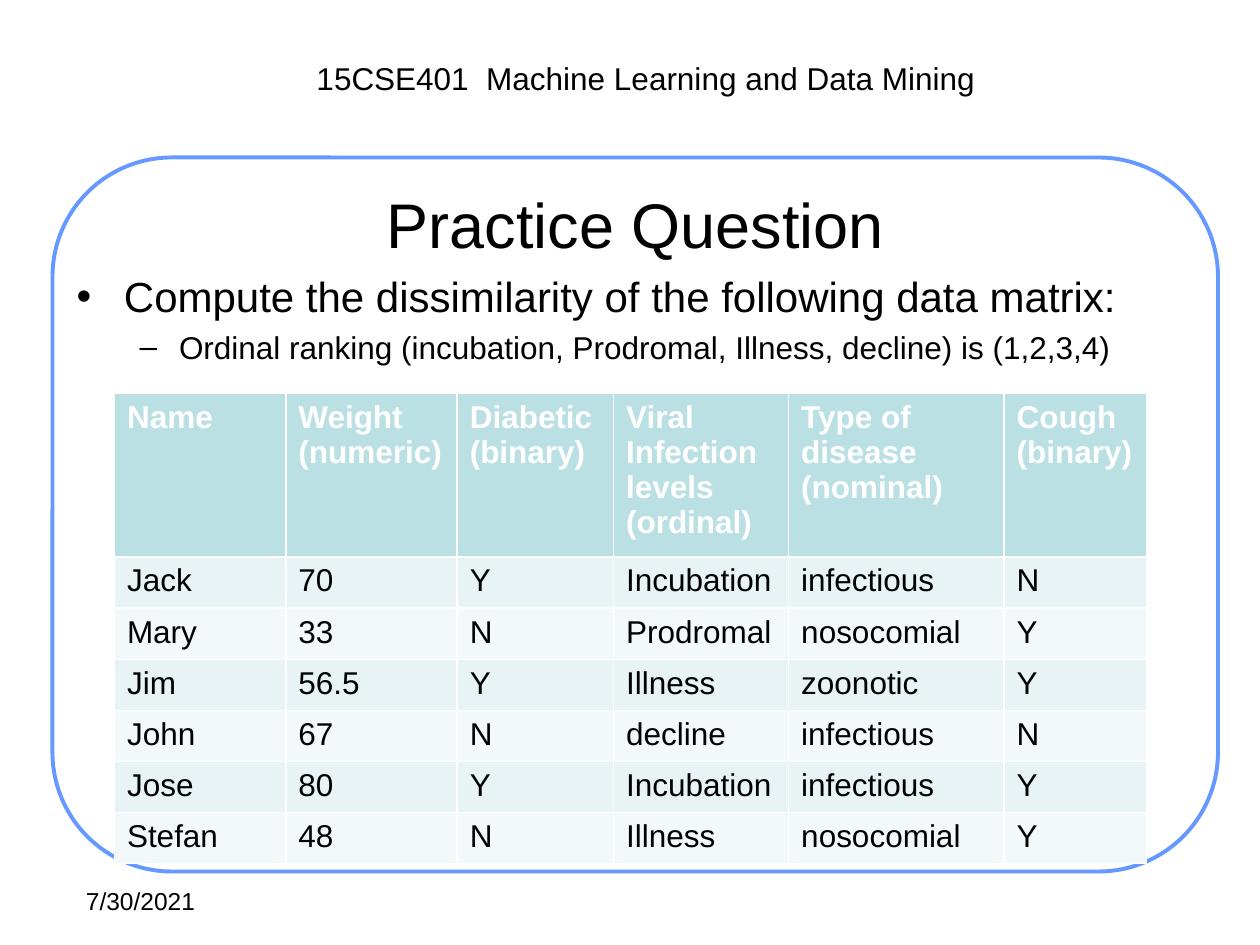
from dataclasses import dataclass
from pptx import Presentation
from pptx.dml.color import RGBColor as Color
from pptx.enum.shapes import MSO_SHAPE as Shape
from pptx.enum.text import MSO_ANCHOR as Anchor, MSO_AUTO_SIZE as AutoSize, PP_ALIGN as Align
from pptx.util import Inches, Pt


@dataclass(frozen=True)
class Theme:
    font: str = "Arial"
    ink: str = "000000"
    paper: str = "FFFFFF"
    outline: str = "6699FF"
    header: str = "BBE0E3"
    bands: tuple = ("E7F3F4", "F3F9FA")
    title_size: int = 36
    lead_size: int = 24
    text_size: int = 18
    small_size: int = 14


@dataclass(frozen=True)
class Box:
    left: float
    top: float
    width: float
    height: float

    def lengths(self):
        return tuple(grid(n) for n in (self.left, self.top, self.width, self.height))


THEME = Theme()
CELLS_PER_INCH = 12
COLUMNS, ROWS = 120, 90

HEADINGS = ["Name", "Weight\n(numeric)", "Diabetic\n(binary)",
            "Viral Infection levels\n(ordinal)", "Type of disease\n(nominal)",
            "Cough\n(binary)"]
PATIENTS = [
    ["Jack", "70", "Y", "Incubation", "infectious", "N"],
    ["Mary", "33", "N", "Prodromal", "nosocomial", "Y"],
    ["Jim", "56.5", "Y", "Illness", "zoonotic", "Y"],
    ["John", "67", "N", "decline", "infectious", "N"],
    ["Jose", "80", "Y", "Incubation", "infectious", "Y"],
    ["Stefan", "48", "N", "Illness", "nosocomial", "Y"],
]
COLUMN_SHARES = [1.36, 1.36, 1.24, 1.39, 1.71, 1.13]


def grid(count):
    return Inches(count / CELLS_PER_INCH)


def place(shape, box):
    shape.left, shape.top, shape.width, shape.height = box.lengths()


def paint(target, color):
    target.fill.solid()
    target.fill.fore_color.rgb = Color.from_string(color)


def write(frame, text, size=THEME.text_size, color=THEME.ink, bold=False,
          align=Align.LEFT, anchor=Anchor.TOP):
    frame.word_wrap = True
    frame.vertical_anchor = anchor
    frame.text = text
    for para in frame.paragraphs:
        para.alignment = align
        for span in para.runs:
            span.font.name = THEME.font
            span.font.size = Pt(size)
            span.font.bold = bold
            span.font.color.rgb = Color.from_string(color)


def add_frame(page, box):
    frame = page.shapes.add_shape(Shape.ROUNDED_RECTANGLE, *box.lengths())
    frame.adjustments[0] = 0.167
    frame.shadow.inherit = False
    paint(frame, THEME.paper)
    frame.line.color.rgb = Color.from_string(THEME.outline)
    frame.line.width = Pt(2.25)
    page.shapes.title.element.addprevious(frame.element)


def add_label(page, box, text, **style):
    label = page.shapes.add_textbox(*box.lengths())
    write(label.text_frame, text, **style)


def fill_title(page, box, text):
    title = page.shapes.title
    place(title, box)
    title.text_frame.auto_size = AutoSize.NONE
    write(title.text_frame, text, size=THEME.title_size,
          align=Align.CENTER, anchor=Anchor.MIDDLE)


def fill_body(page, box, items):
    body = page.placeholders[1]
    place(body, box)
    paint(body, THEME.paper)
    body.text_frame.auto_size = AutoSize.NONE
    write(body.text_frame, "\n".join(text for text, *_ in items))
    for para, (_, level, size, margin, hang) in zip(body.text_frame.paragraphs, items):
        para.level = level
        para.runs[0].font.size = Pt(size)
        properties = para._p.get_or_add_pPr()
        properties.set("marL", str(grid(margin)))
        properties.set("indent", str(-grid(hang)))


def add_patient_table(page, box, header_rows):
    records = [HEADINGS] + PATIENTS
    table = page.shapes.add_table(len(records), len(HEADINGS), *box.lengths()).table
    for column, share in zip(table.columns, COLUMN_SHARES):
        column.width = grid(box.width * share / sum(COLUMN_SHARES))
    for index, (row, record) in enumerate(zip(table.rows, records)):
        heading = index == 0
        row.height = grid(header_rows if heading
                          else (box.height - header_rows) / len(PATIENTS))
        for cell, text in zip(row.cells, record):
            paint(cell, THEME.header if heading else THEME.bands[(index - 1) % 2])
            write(cell.text_frame, text, bold=heading,
                  color=THEME.paper if heading else THEME.ink)


def build_practice_page(deck):
    page = deck.slides.add_slide(deck.slide_layouts[1])
    add_frame(page, Box(5, 15, 111, 68))
    add_label(page, Box(17, 5, 89, 4.8), "15CSE401  Machine Learning and Data Mining",
              align=Align.CENTER)
    fill_title(page, Box(13, 16, 95, 10.5), "Practice Question")
    fill_body(page, Box(6.1, 25.2, 107.8, 49.4), [
        ("Compute the dissimilarity of the following data matrix:",
         0, THEME.lead_size, 4.5, 4.5),
        ("Ordinal ranking (incubation, Prodromal, Illness, decline) is (1,2,3,4)",
         1, THEME.text_size, 9.75, 3.75),
    ])
    add_label(page, Box(7, 83.75, 28, 6.25), "7/30/2021", size=THEME.small_size)
    add_patient_table(page, Box(10.9, 37.45, 98.3, 43.8), header_rows=14.6)


def main():
    deck = Presentation()
    deck.slide_width, deck.slide_height = grid(COLUMNS), grid(ROWS)
    build_practice_page(deck)
    deck.save("out.pptx")


if __name__ == "__main__":
    main()
